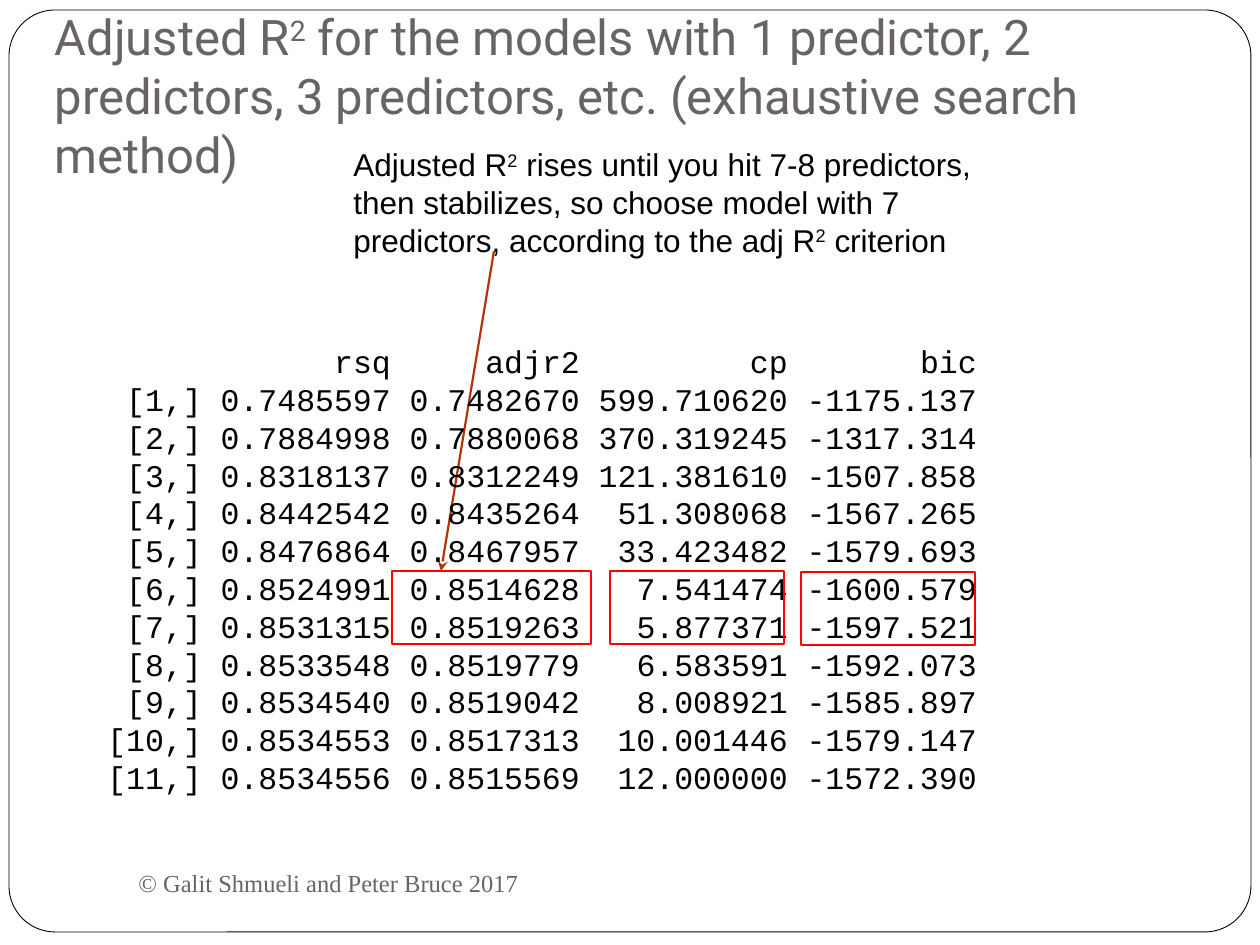
import pptx
import pptx.dml.color
import pptx.enum.shapes
import pptx.enum.text
import pptx.oxml
import pptx.oxml.ns
import pptx.util

SCALE = 914400 / 126
HUES = {"ink": "000000", "paper": "FFFFFF", "grey": "696464",
        "rust": "AF3408", "red": "FF0000"}
CHAR = 18.9  # width in px of one 18 pt Courier New character

HEAD = ["", "rsq", "adjr2", "cp", "bic"]
ENDS = [5, 15, 25, 36, 46]  # last character of each column
MODELS = """0.7485597 0.7482670 599.710620 -1175.137
0.7884998 0.7880068 370.319245 -1317.314
0.8318137 0.8312249 121.381610 -1507.858
0.8442542 0.8435264 51.308068 -1567.265
0.8476864 0.8467957 33.423482 -1579.693
0.8524991 0.8514628 7.541474 -1600.579
0.8531315 0.8519263 5.877371 -1597.521
0.8533548 0.8519779 6.583591 -1592.073
0.8534540 0.8519042 8.008921 -1585.897
0.8534553 0.8517313 10.001446 -1579.147
0.8534556 0.8515569 12.000000 -1572.390"""


def px(n):
    return pptx.util.Emu(round(n * SCALE))


def rgb(hue):
    return pptx.dml.color.RGBColor.from_string(HUES[hue])


def node(root, tag, **attrs):
    """Append a DrawingML child with the given attributes."""
    kid = pptx.oxml.parse_xml(f"<a:{tag} {pptx.oxml.ns.nsdecls('a')}/>")
    for key, val in attrs.items():
        kid.set(key, str(val))
    root.append(kid)
    return kid


class Page:
    def __init__(self, deck):
        self.slide = deck.slides.add_slide(deck.slide_layouts[5])
        self.shapes = self.slide.shapes

    def runs(self, para, parts, size, face, hue):
        """Add runs; a part given as a tuple is raised."""
        for part in parts:
            run = para.add_run()
            high = isinstance(part, tuple)
            run.text = part[0] if high else part
            run.font.size = pptx.util.Pt(size)
            run.font.name = face
            run.font.color.rgb = rgb(hue)
            if high:
                run.font._element.set("baseline", "30000")

    def frame(self, shape, anchor):
        body = shape.text_frame
        body.word_wrap = True
        body.auto_size = pptx.enum.text.MSO_AUTO_SIZE.NONE
        body.vertical_anchor = anchor
        return body

    def title(self, parts, box, size, face, hue):
        shape = self.shapes.title
        self.shapes._spTree.append(shape._element)  # bring to the front
        shape.left, shape.top, shape.width, shape.height = map(px, box)
        body = self.frame(shape, pptx.enum.text.MSO_ANCHOR.BOTTOM)
        body.margin_bottom = pptx.util.Inches(0.1)
        para = body.paragraphs[0]
        para.alignment = pptx.enum.text.PP_ALIGN.LEFT
        self.runs(para, parts, size, face, hue)

    def text(self, lines, box, size, face, hue,
             anchor=pptx.enum.text.MSO_ANCHOR.TOP, stops=()):
        """Add one paragraph per line, with right-aligned tab stops."""
        body = self.frame(self.shapes.add_textbox(*map(px, box)), anchor)
        for i, parts in enumerate(lines):
            para = body.add_paragraph() if i else body.paragraphs[0]
            if stops:
                tabs = node(para._p.get_or_add_pPr(), "tabLst")
                for stop in stops:
                    node(tabs, "tab", pos=px(stop), algn="r")
            self.runs(para, parts, size, face, hue)

    def rect(self, box, line, width, fill=None, curve=None):
        kinds = pptx.enum.shapes.MSO_SHAPE
        kind = kinds.ROUNDED_RECTANGLE if curve else kinds.RECTANGLE
        shape = self.shapes.add_shape(kind, *map(px, box))
        shape.shadow.inherit = False
        if curve:
            shape.adjustments[0] = curve
        if fill:
            shape.fill.solid()
            shape.fill.fore_color.rgb = rgb(fill)
        else:
            shape.fill.background()
        shape.line.color.rgb = rgb(line)
        shape.line.width = pptx.util.Pt(width)

    def arrow(self, start, end, hue, width):
        kind = pptx.enum.shapes.MSO_CONNECTOR.STRAIGHT
        link = self.shapes.add_connector(kind, *map(px, start + end))
        link.line.color.rgb = rgb(hue)
        link.line.width = pptx.util.Pt(width)
        node(link.line._get_or_add_ln(), "tailEnd", type="stealth")
        node(link._element.spPr, "effectLst")


def main():
    deck = pptx.Presentation()
    deck.slide_width, deck.slide_height = px(1260), px(945)
    page = Page(deck)

    page.rect((9, 10, 1242, 922), "ink", 0.5, fill="paper", curve=0.05)
    page.title(["Adjusted R", ("2",), " for the models with 1 predictor, "
                "2 predictors, 3 predictors, etc. (exhaustive search method)"],
               (42, 38, 1218, 158), 28, "Roboto", "grey")
    page.text([["Adjusted R", ("2",), " rises until you hit 7-8 predictors, "
                "then stabilizes, so choose model with 7 predictors, "
                "according to the adj R", ("2",), " criterion"]],
              (341, 139, 662, 127), 18, "Arial", "ink")
    page.arrow((494, 251), (441, 571), "rust", 1.25)
    page.text([["© Galit Shmueli and Peter Bruce 2017"]],
              (126, 851, 546, 63), 14, "Times New Roman", "grey",
              anchor=pptx.enum.text.MSO_ANCHOR.MIDDLE)

    rows = [HEAD] + [[f"[{n},]"] + line.split()
                     for n, line in enumerate(MODELS.splitlines(), 1)]
    page.text([["".join("\t" + cell for cell in row)] for row in rows],
              (95, 336, 1008, 471), 18, "Courier New", "ink",
              stops=[end * CHAR for end in ENDS])
    for left, top, wide in ((392, 571, 199), (610, 571, 174), (801, 572, 174)):
        page.rect((left, top, wide, 73), "red", 1)

    deck.save("out.pptx")


if __name__ == "__main__":
    main()
